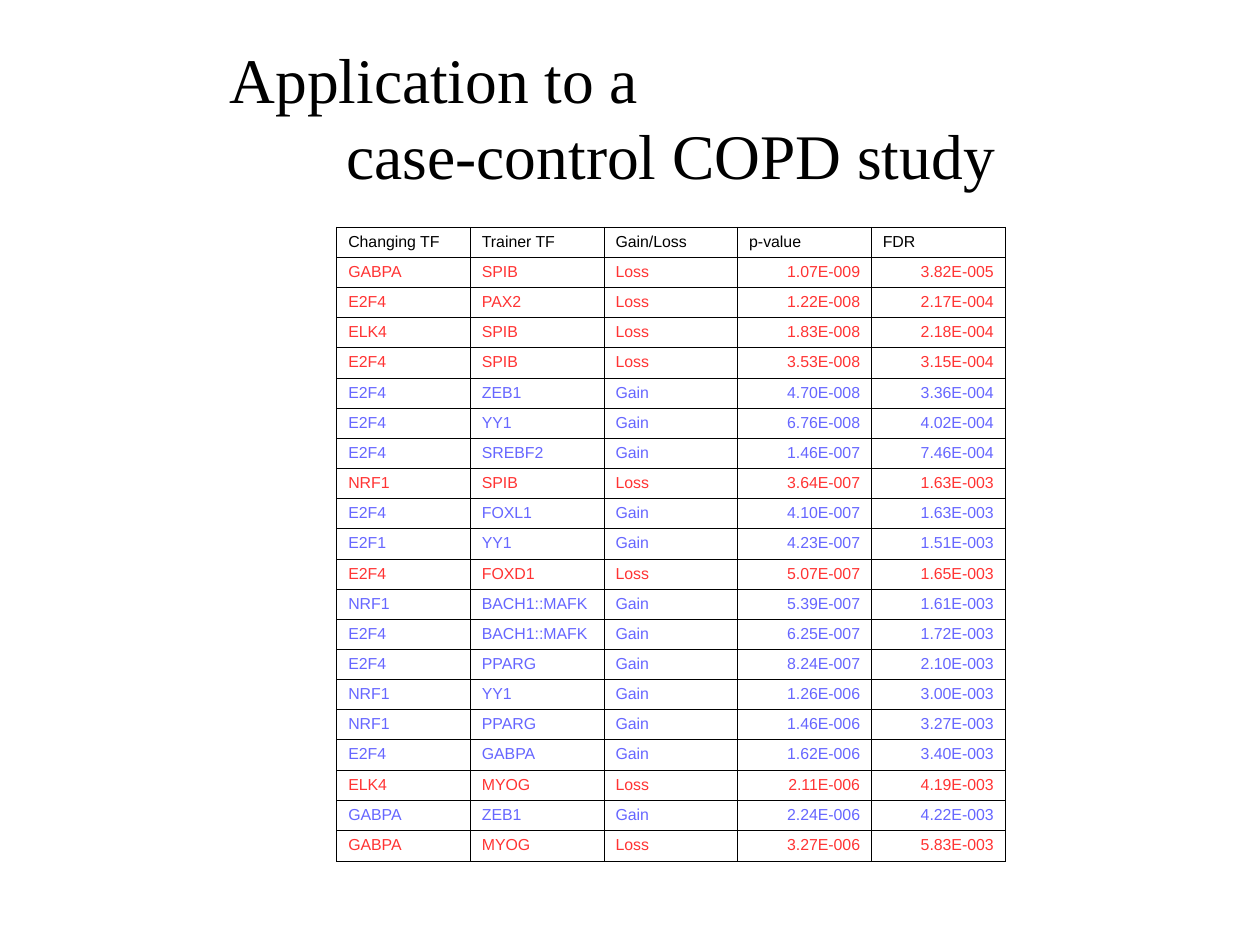
from dataclasses import astuple, dataclass

import lxml.etree
import pptx
import pptx.dml.color
import pptx.enum.text
import pptx.oxml.ns
import pptx.slide
import pptx.table
import pptx.text.text
import pptx.util

COLORS = {"black": "000000", "Loss": "FF3333", "Gain": "6666FF"}
TITLE_FONT, TABLE_FONT = "Times New Roman", "Arial"
TITLE_INDENT = 73.7
COLUMN_WIDTH, ROW_HEIGHT, LAST_ROW_HEIGHT = 84.2, 19.02, 19.6
BORDER_WIDTH = 0.75
ALIGN = pptx.enum.text.PP_ALIGN


@dataclass(frozen=True)
class FactorPair:
    changing: str
    trainer: str
    effect: str
    p_value: str
    fdr: str


HEADER = ("Changing TF", "Trainer TF", "Gain/Loss", "p-value", "FDR")
PAIRS = [
    FactorPair("GABPA", "SPIB", "Loss", "1.07E-009", "3.82E-005"),
    FactorPair("E2F4", "PAX2", "Loss", "1.22E-008", "2.17E-004"),
    FactorPair("ELK4", "SPIB", "Loss", "1.83E-008", "2.18E-004"),
    FactorPair("E2F4", "SPIB", "Loss", "3.53E-008", "3.15E-004"),
    FactorPair("E2F4", "ZEB1", "Gain", "4.70E-008", "3.36E-004"),
    FactorPair("E2F4", "YY1", "Gain", "6.76E-008", "4.02E-004"),
    FactorPair("E2F4", "SREBF2", "Gain", "1.46E-007", "7.46E-004"),
    FactorPair("NRF1", "SPIB", "Loss", "3.64E-007", "1.63E-003"),
    FactorPair("E2F4", "FOXL1", "Gain", "4.10E-007", "1.63E-003"),
    FactorPair("E2F1", "YY1", "Gain", "4.23E-007", "1.51E-003"),
    FactorPair("E2F4", "FOXD1", "Loss", "5.07E-007", "1.65E-003"),
    FactorPair("NRF1", "BACH1::MAFK", "Gain", "5.39E-007", "1.61E-003"),
    FactorPair("E2F4", "BACH1::MAFK", "Gain", "6.25E-007", "1.72E-003"),
    FactorPair("E2F4", "PPARG", "Gain", "8.24E-007", "2.10E-003"),
    FactorPair("NRF1", "YY1", "Gain", "1.26E-006", "3.00E-003"),
    FactorPair("NRF1", "PPARG", "Gain", "1.46E-006", "3.27E-003"),
    FactorPair("E2F4", "GABPA", "Gain", "1.62E-006", "3.40E-003"),
    FactorPair("ELK4", "MYOG", "Loss", "2.11E-006", "4.19E-003"),
    FactorPair("GABPA", "ZEB1", "Gain", "2.24E-006", "4.22E-003"),
    FactorPair("GABPA", "MYOG", "Loss", "3.27E-006", "5.83E-003"),
]


def add_run(paragraph: pptx.text.text._Paragraph, text: str, font: str, size: float, color: str) -> None:
    run = paragraph.add_run()
    run.text = text
    run.font.name = font
    run.font.size = pptx.util.Pt(size)
    run.font.color.rgb = pptx.dml.color.RGBColor.from_string(COLORS[color])


def add_borders(cell: pptx.table._Cell) -> None:
    qn = pptx.oxml.ns.qn
    properties = cell._tc.get_or_add_tcPr()
    for side in ("lnL", "lnR", "lnT", "lnB"):
        line = lxml.etree.SubElement(properties, qn(f"a:{side}"), w=str(pptx.util.Pt(BORDER_WIDTH)))
        fill = lxml.etree.SubElement(line, qn("a:solidFill"))
        lxml.etree.SubElement(fill, qn("a:srgbClr"), val=COLORS["black"])


def fill_row(table: pptx.table.Table, row: int, texts: tuple[str, ...], color: str) -> None:
    """Write one table row; numbers below the header are set flush right."""
    for column, text in enumerate(texts):
        cell = table.cell(row, column)
        add_borders(cell)
        cell.fill.background()
        paragraph = cell.text_frame.paragraphs[0]
        paragraph.alignment = ALIGN.RIGHT if row > 0 and column >= 3 else ALIGN.LEFT
        add_run(paragraph, text, TABLE_FONT, 10, color)


def add_title(slide: pptx.slide.Slide) -> None:
    """Format the title, whose second line hangs to the right of the first."""
    title = slide.shapes.title
    title.left, title.top = pptx.util.Pt(144.7), pptx.util.Pt(28.8)
    title.width, title.height = pptx.util.Pt(557.3), pptx.util.Pt(88.6)
    frame = title.text_frame
    frame.margin_left = frame.margin_right = frame.margin_top = frame.margin_bottom = 0
    frame.word_wrap = True
    frame.auto_size = pptx.enum.text.MSO_AUTO_SIZE.NONE
    frame.vertical_anchor = pptx.enum.text.MSO_ANCHOR.MIDDLE
    paragraph = frame.paragraphs[0]
    paragraph.alignment = ALIGN.LEFT
    properties = paragraph._p.get_or_add_pPr()
    properties.set("marL", str(pptx.util.Pt(TITLE_INDENT)))
    properties.set("indent", str(pptx.util.Pt(-TITLE_INDENT)))
    add_run(paragraph, "Application to a ", TITLE_FONT, 40, "black")
    paragraph.add_line_break()
    add_run(paragraph, "case-control COPD study", TITLE_FONT, 40, "black")


def add_results_table(slide: pptx.slide.Slide) -> None:
    row_count = len(PAIRS) + 1
    table = slide.shapes.add_table(
        row_count, len(HEADER), pptx.util.Pt(212.2), pptx.util.Pt(143.2),
        pptx.util.Pt(COLUMN_WIDTH * len(HEADER)),
        pptx.util.Pt(ROW_HEIGHT * len(PAIRS) + LAST_ROW_HEIGHT),
    ).table
    table.first_row = table.horz_banding = False
    for column in table.columns:
        column.width = pptx.util.Pt(COLUMN_WIDTH)
    for row in table.rows:
        row.height = pptx.util.Pt(ROW_HEIGHT)
    table.rows[row_count - 1].height = pptx.util.Pt(LAST_ROW_HEIGHT)
    fill_row(table, 0, HEADER, "black")
    for index, pair in enumerate(PAIRS, start=1):
        fill_row(table, index, astuple(pair), pair.effect)


def main() -> None:
    presentation = pptx.Presentation()
    presentation.slide_width = pptx.util.Pt(793.75)
    presentation.slide_height = pptx.util.Pt(595.25)
    slide = presentation.slides.add_slide(presentation.slide_layouts.get_by_name("Title Only"))
    add_title(slide)
    add_results_table(slide)
    presentation.save("out.pptx")


if __name__ == "__main__":
    main()
